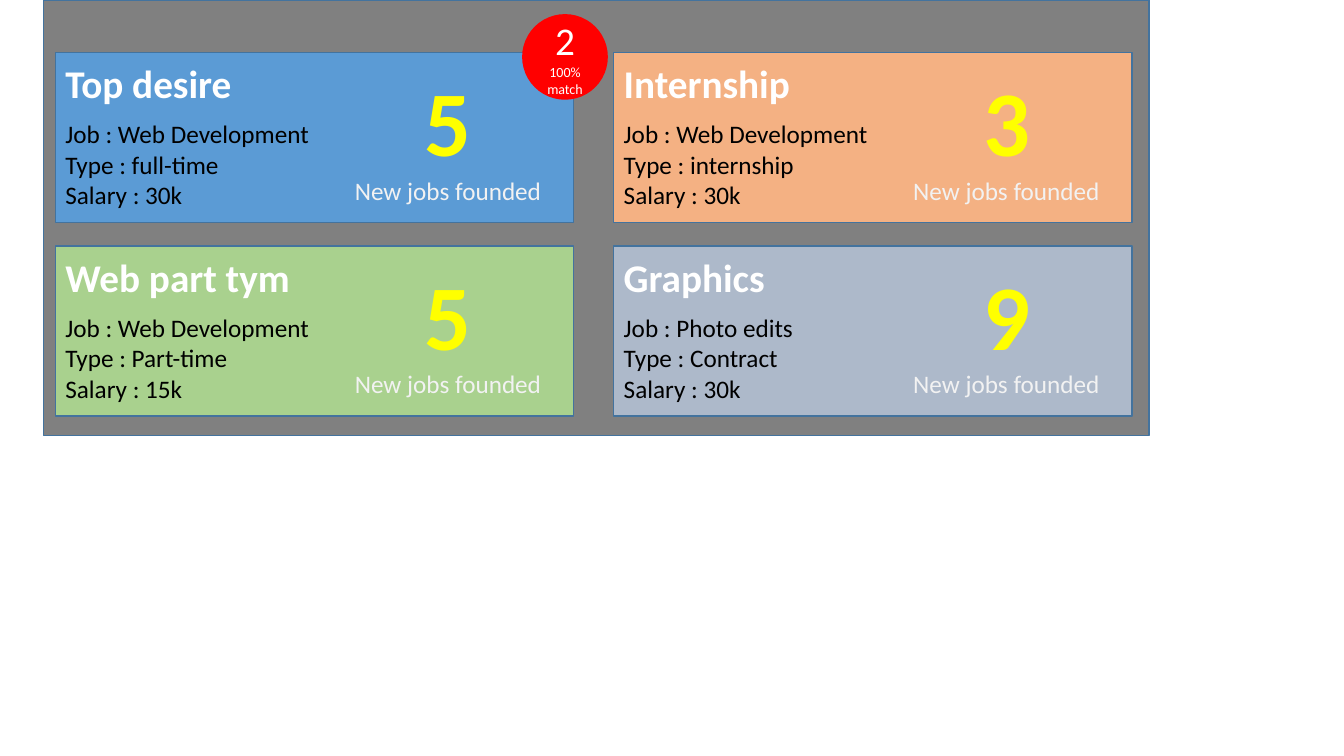
from dataclasses import dataclass

from pptx import Presentation
from pptx import util as u
from pptx.dml.color import RGBColor
from pptx.enum import shapes, text

SLIDE_W, SLIDE_H = u.Inches(13.33), u.Inches(7.5)


# Colours and type sizes
@dataclass(frozen=True)
class Theme:
    font: str = "Calibri"
    backdrop: str = "808080"
    border: str = "43739E"
    badge: str = "FF0000"
    white: str = "FFFFFF"
    black: str = "000000"
    count: str = "FFFF00"
    caption: str = "F2F2F2"
    heading_pt: int = 28
    body_pt: int = 18
    count_pt: int = 66
    small_pt: int = 10


THEME = Theme()
HEADING = {"size": THEME.heading_pt, "color": THEME.white, "bold": True}
DETAIL = {"size": THEME.body_pt, "color": THEME.black}
COUNT = {"size": THEME.count_pt, "color": THEME.count, "bold": True}
CAPTION = {"size": THEME.body_pt, "color": THEME.caption}
BADGE_COUNT = {"size": THEME.heading_pt, "color": THEME.white}
BADGE_NOTE = {"size": THEME.small_pt, "color": THEME.white}

# Card grid, in percent of the slide's width and height
CARD_X, CARD_Y = 4.12, 6.93
CARD_W, CARD_H = 38.55, 22.53
COL_STEP, ROW_STEP = 41.55, 25.6
HEADING_H = 8.13

# Row by row: heading, job, type, salary, new jobs, fill
CARDS = [
    [("Top desire", "Web Development", "full-time", "30k", 5, "5B9BD5"),
     ("Internship", "Web Development", "internship", "30k", 3, "F4B183")],
    [("Web part tym", "Web Development", "Part-time", "15k", 5, "A9D18E"),
     ("Graphics", "Photo edits", "Contract", "30k", 9, "ADB9CA")],
]


def box(x, y, w, h):
    """Turn percentages of the slide into lengths."""
    return [int(share * side / 100) for share, side in
            zip((x, y, w, h), (SLIDE_W, SLIDE_H) * 2)]


def write(tf, lines, align=text.PP_ALIGN.LEFT, **frame):
    """Fill a text frame with (words, format) paragraphs."""
    for name, value in frame.items():
        setattr(tf, name, value)
    for i, (words, fmt) in enumerate(lines):
        p = tf.paragraphs[0] if i == 0 else tf.add_paragraph()
        p.alignment = align
        r = p.add_run()
        r.text = words
        values = {"name": THEME.font, "bold": False, **fmt,
                  "size": u.Pt(fmt["size"])}
        r.font.color.rgb = RGBColor.from_string(values.pop("color"))
        for name, value in values.items():
            setattr(r.font, name, value)


def add_block(parent, kind, place, fill, border=None):
    sp = parent.add_shape(kind, *box(*place))
    sp.shadow.inherit = False
    sp.fill.solid()
    sp.fill.fore_color.rgb = RGBColor.from_string(fill)
    if border:
        sp.line.color.rgb = RGBColor.from_string(border)
        sp.line.width = u.Pt(1)
    else:
        sp.line.fill.background()
    return sp


def add_text(parent, place, lines, **options):
    sp = parent.add_textbox(*box(*place))
    write(sp.text_frame, lines, **{"word_wrap": True, **options})


def add_card(slide, col, row, card):
    heading, job, kind, salary, count, fill = card
    x, y = CARD_X + col * COL_STEP, CARD_Y + row * ROW_STEP
    group = slide.shapes.add_group_shape().shapes
    add_block(group, shapes.MSO_SHAPE.RECTANGLE, (x, y, CARD_W, CARD_H),
              fill, THEME.border)
    add_text(group, (x, y, 18.45, HEADING_H), [(heading, HEADING)],
             vertical_anchor=text.MSO_ANCHOR.MIDDLE)
    details = (f"Job : {job}", f"Type : {kind}", f"Salary : {salary}")
    add_text(group, (x, y + HEADING_H, 22.58, 13.47),
             [(line, DETAIL) for line in details],
             auto_size=text.MSO_AUTO_SIZE.SHAPE_TO_FIT_TEXT)
    add_text(group, (x + 21.45, y + 0.93, 15.52, 20.13),
             [(str(count), COUNT), ("New jobs founded", CAPTION)],
             align=text.PP_ALIGN.CENTER, word_wrap=False,
             auto_size=text.MSO_AUTO_SIZE.SHAPE_TO_FIT_TEXT)
    return group


def add_badge(group):
    sp = add_block(group, shapes.MSO_SHAPE.OVAL, (38.85, 1.87, 6.38, 11.33),
                   THEME.badge)
    write(sp.text_frame, [("2", BADGE_COUNT), ("100%match", BADGE_NOTE)],
          align=text.PP_ALIGN.CENTER, word_wrap=True,
          vertical_anchor=text.MSO_ANCHOR.MIDDLE)


def main():
    prs = Presentation()
    prs.slide_width, prs.slide_height = SLIDE_W, SLIDE_H
    slide = prs.slides.add_slide(prs.slide_layouts.get_by_name("Blank"))

    # Grey backdrop
    add_block(slide.shapes, shapes.MSO_SHAPE.RECTANGLE,
              (3.22, 0, 82.28, 57.6), THEME.backdrop, THEME.border)

    # Job cards, with the match badge on the first
    for row, cards in enumerate(CARDS):
        for col, card in enumerate(cards):
            group = add_card(slide, col, row, card)
            if row == col == 0:
                add_badge(group)

    prs.save("out.pptx")


if __name__ == "__main__":
    main()
